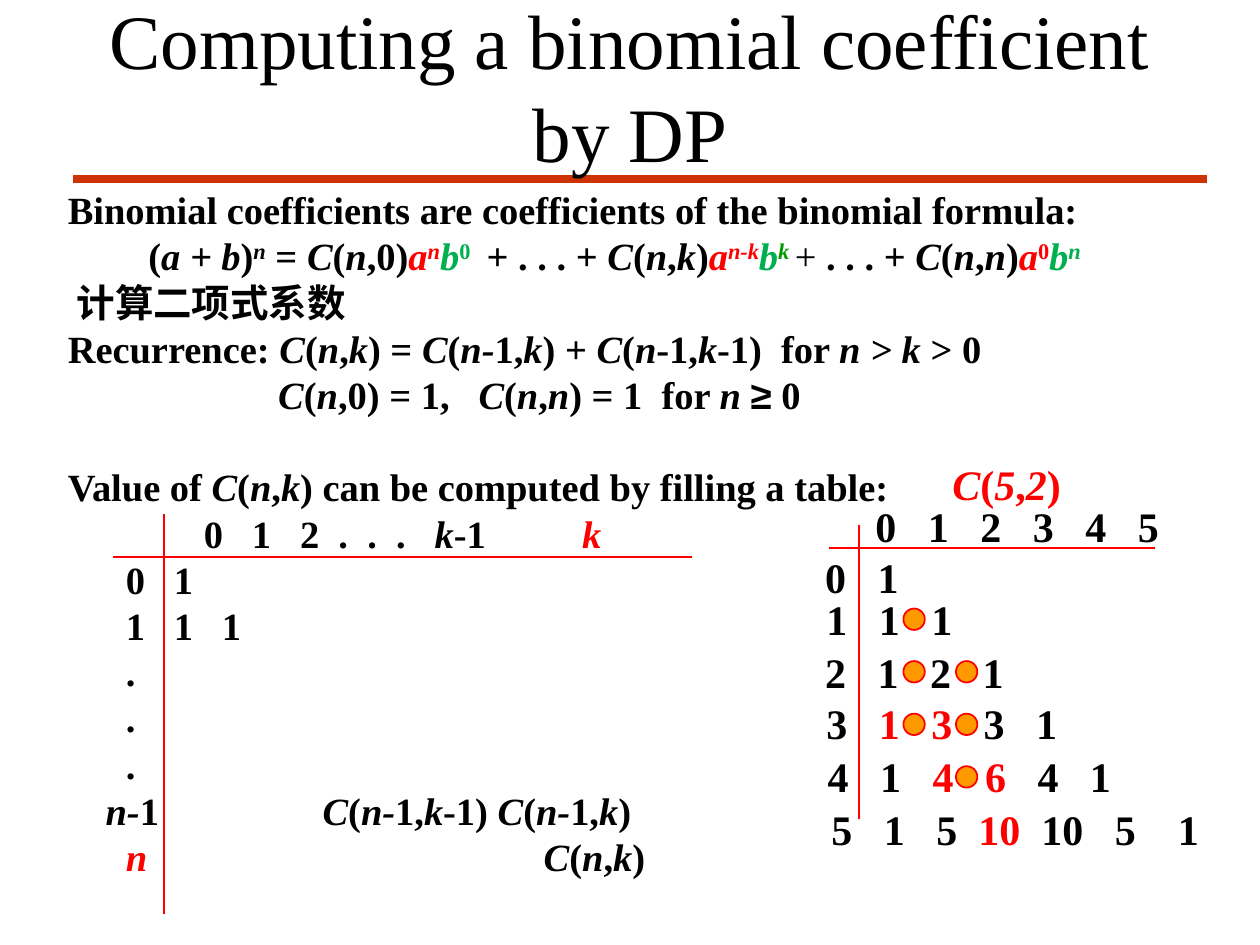
from dataclasses import dataclass
from itertools import cycle

from lxml.etree import SubElement
from pptx import Presentation
from pptx.dml.color import RGBColor
from pptx.enum.shapes import MSO_CONNECTOR, MSO_SHAPE
from pptx.enum.text import MSO_ANCHOR, PP_ALIGN
from pptx.oxml.ns import qn
from pptx.util import Inches, Pt

BLACK = RGBColor(0x00, 0x00, 0x00)
RED = RGBColor(0xFF, 0x00, 0x00)
GREEN = RGBColor(0x00, 0xB0, 0x50)
DARK_GREEN = RGBColor(0x00, 0x99, 0x00)
ORANGE = RGBColor(0xFF, 0x99, 0x00)
RULE_RED = RGBColor(0xCC, 0x33, 0x00)

SERIF = "Times New Roman"
SANS = "Arial"
LINE_FACTOR = 1.2
SPACE_FACTOR = 0.25
BODY_SIZE = 22
STEP = 0.417

ITALIC, RAISED, LIGHT, SANS_MARK, GAP = "*", "^", "%", "#", "_"
COLOR_MARKS = {"~": RED, "@": GREEN, "&": DARK_GREEN}
MARKS = {ITALIC, RAISED, LIGHT, SANS_MARK, GAP, *COLOR_MARKS}


@dataclass(frozen=True)
class Line:
    markup: str
    margin: float = 0.12
    gaps: tuple[float, ...] = (3,)
    centered: bool = False
    space_before: float = 0


@dataclass(frozen=True)
class Box:
    left: float
    top: float
    width: float
    height: float
    size: float
    lines: tuple[Line, ...]
    bold: bool = True
    anchor: MSO_ANCHOR = MSO_ANCHOR.TOP


@dataclass(frozen=True)
class Rule:
    start: tuple[float, float]
    end: tuple[float, float]
    color: RGBColor = RED
    weight: float = 1


def add_marked_run(paragraph, text: str, active: set[str], box: Box, gap: float = 1) -> None:
    if not text:
        return
    run = paragraph.add_run()
    run.text = text
    font = run.font
    font.size = Pt(box.size)
    font.name = SANS if SANS_MARK in active else SERIF
    font.bold = box.bold and LIGHT not in active
    font.italic = ITALIC in active
    font.color.rgb = next((color for mark, color in COLOR_MARKS.items() if mark in active), BLACK)
    properties = run._r.get_or_add_rPr()
    if RAISED in active:
        properties.set("baseline", "30000")
    if gap != 1:
        properties.set("spc", str(round((gap - 1) * SPACE_FACTOR * box.size * 100)))


def write_line(paragraph, line: Line, box: Box) -> None:
    paragraph.alignment = PP_ALIGN.CENTER if line.centered else PP_ALIGN.LEFT
    paragraph.line_spacing = Pt(box.size * LINE_FACTOR)
    paragraph.space_before = Pt(line.space_before)
    properties = paragraph._p.get_or_add_pPr()
    properties.set("marL", str(Inches(line.margin)))
    properties.set("indent", "0")
    gaps = cycle(line.gaps)
    active: set[str] = set()
    text = ""
    for character in line.markup:
        if character not in MARKS:
            text += character
            continue
        add_marked_run(paragraph, text, active, box)
        text = ""
        if character == GAP:
            add_marked_run(paragraph, " ", active, box, next(gaps))
        else:
            active ^= {character}
    add_marked_run(paragraph, text, active, box)


def add_box(slide, box: Box) -> None:
    shape = slide.shapes.add_textbox(
        Inches(box.left), Inches(box.top), Inches(box.width), Inches(box.height)
    )
    text_frame = shape.text_frame
    text_frame.word_wrap = True
    text_frame.vertical_anchor = box.anchor
    for index, line in enumerate(box.lines):
        paragraph = text_frame.add_paragraph() if index else text_frame.paragraphs[0]
        write_line(paragraph, line, box)


def add_rule(shapes, rule: Rule) -> None:
    connector = shapes.add_connector(
        MSO_CONNECTOR.STRAIGHT, *(Inches(value) for value in rule.start + rule.end)
    )
    connector.line.color.rgb = rule.color
    connector.line.width = Pt(rule.weight)
    SubElement(connector._element.spPr, qn("a:effectLst"))


def add_dot(slide, column: int, row: int) -> None:
    shape = slide.shapes.add_shape(
        MSO_SHAPE.FLOWCHART_CONNECTOR,
        Inches(7.17 + column * STEP), Inches(4.83 + row * STEP), Inches(0.17), Inches(0.17),
    )
    shape.shadow.inherit = False
    shape.fill.solid()
    shape.fill.fore_color.rgb = ORANGE
    shape.line.color.rgb = RED
    shape.line.width = Pt(1)


TITLE = Box(0.75, 0.05, 8.5, 1.25, 44,
            (Line("Computing a binomial coefficient by DP", margin=0, centered=True),),
            bold=False, anchor=MSO_ANCHOR.MIDDLE)

ROW_MARGIN = 0.58
BODY = Box(0.32, 1.43, 9.04, 5.6, BODY_SIZE, (
    Line("Binomial coefficients are coefficients of the binomial formula:"),
    Line("(*a + b*)^*n*^ = *C*(*n*,0)~*a^n^*~@*b*^0^@_+ . . . + *C*(*n*,*k*)~*a^n-k^*~@*b*@"
         "&*^k ^*&%+ %. . . + *C*(*n*,*n*)~*a*^0^~@*b^n ^*@", gaps=(1.7,), centered=True),
    Line("计算二项式系数", margin=0.19),
    Line("Recurrence: *C*(*n*,*k*) = *C*(*n-*1,*k*) + *C*(*n*-1,*k*-1)_for *n > k *> 0", gaps=(2,)),
    Line("*C*(*n*,0) = 1,_*C*(*n*,*n*) = 1_for *n *#≥# 0", 1.79, (3, 2)),
    Line("Value of *C*(*n*,*k*) can be computed by filling a table:",
         space_before=BODY_SIZE * LINE_FACTOR),
    Line("0_1_2_._._._*k*-1_~*k*~", 1.2, (3, 3, 2, 2, 2, 3, 10)),
    Line("0_1", ROW_MARGIN),
    Line("1_1_1", ROW_MARGIN),
    *(Line(".", ROW_MARGIN) for _ in range(3)),
    Line("*n-*1_*C*(*n-*1,*k*-1) *C*(*n-*1,*k*)", 0.42, (17,)),
    Line("~*n*~_*C*(*n*,*k*)", ROW_MARGIN, (41.2,)),
))

TRIANGLE = (
    (6.85, 3.92, 2.6, "0_1_2_3_4_5", (3,)),
    (6.45, 4.33, 0.85, "0_1", (3,)),
    (6.46, 4.66, 1.25, "1_1_1", (3,)),
    (6.45, 5.08, 1.7, "2_1_2_1", (3,)),
    (6.46, 5.49, 2.1, "3_~1_3~_3_1", (3,)),
    (6.47, 5.91, 2.7, "4_1_~4_6~_4_1", (3,)),
    (6.5, 6.33, 3.2, "5_1_5_~10~_10_5_1", (3, 3, 2, 2, 3, 4)),
    (7.46, 3.59, 1.14, "~*C*(*5*,*2*)~", (3,)),
)

TITLE_RULE = Rule((0.58, 1.42), (9.58, 1.42), RULE_RED, 4.5)
TABLE_AXES = (Rule((0.9, 4.42), (5.49, 4.42)), Rule((1.3, 4.08), (1.3, 7.25)))
TRIANGLE_AXES = (Rule((6.58, 4.35), (9.17, 4.35)), Rule((6.82, 4.17), (6.82, 6.5)))
DOTS = ((1, 3), (1, 1), (0, 1), (0, 0), (1, 2), (0, 2))


def main() -> None:
    presentation = Presentation()
    presentation.slide_width = Inches(10)
    presentation.slide_height = Inches(7.5)
    slide = presentation.slides.add_slide(presentation.slide_layouts[6])

    add_rule(slide.shapes, TITLE_RULE)
    add_box(slide, TITLE)
    add_box(slide, BODY)
    for rule in TABLE_AXES:
        add_rule(slide.shapes, rule)
    axes_group = slide.shapes.add_group_shape()
    for rule in TRIANGLE_AXES:
        add_rule(axes_group.shapes, rule)
    for left, top, width, markup, gaps in TRIANGLE:
        add_box(slide, Box(left, top, width, 0.5, 24, (Line(markup, 0, gaps),)))
    for column, row in DOTS:
        add_dot(slide, column, row)

    presentation.save("out.pptx")


if __name__ == "__main__":
    main()
